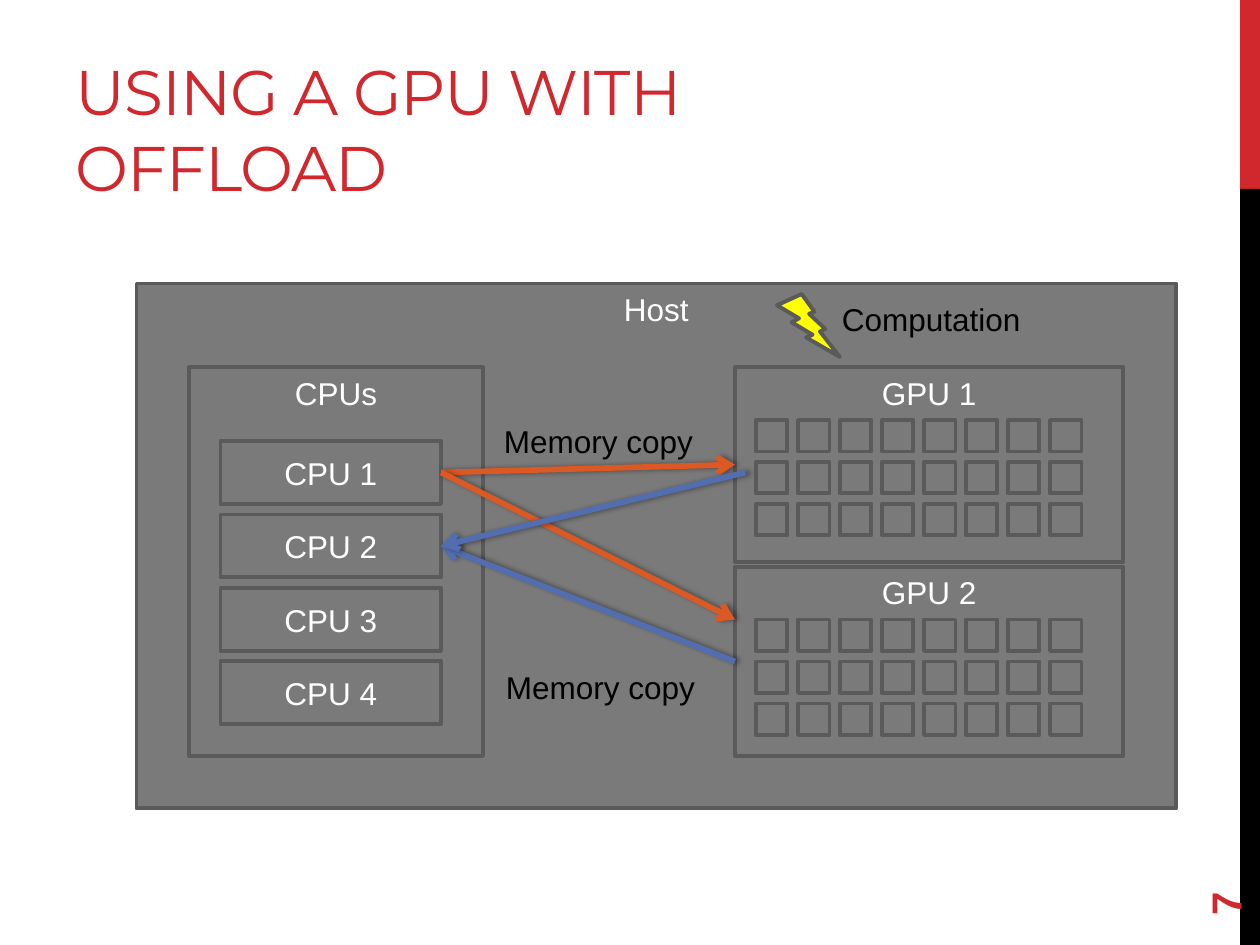
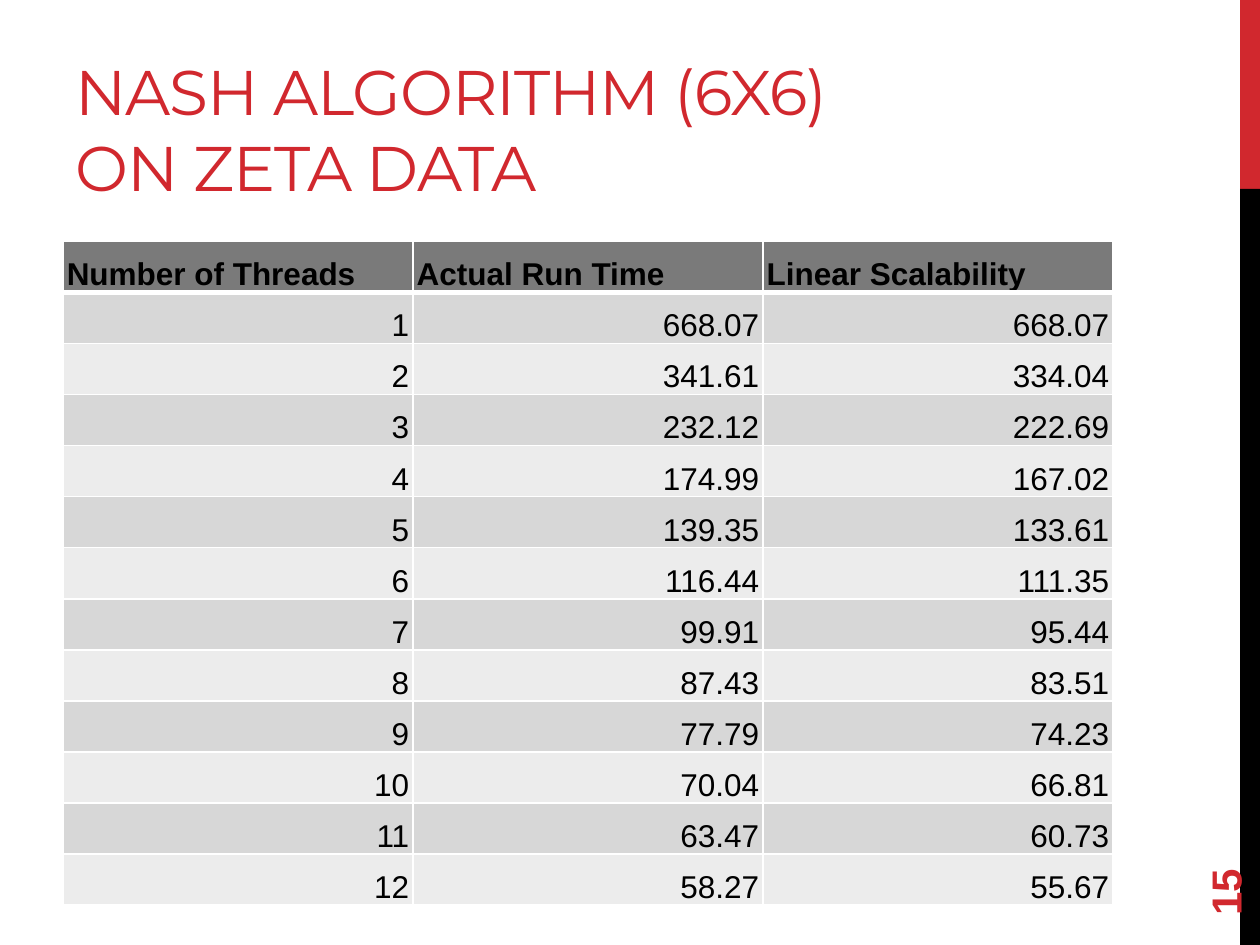
from dataclasses import dataclass

from lxml import etree
from pptx import Presentation
from pptx import util as u
from pptx.dml.color import RGBColor
from pptx.enum import shapes, text
from pptx.oxml import parse_xml
from pptx.oxml.ns import nsdecls, qn

PX = 7620  # EMU in one px, 120 px to the inch
RECT = shapes.MSO_SHAPE.RECTANGLE
LEFT, CENTER, RIGHT = text.PP_ALIGN.LEFT, text.PP_ALIGN.CENTER, text.PP_ALIGN.RIGHT
TOP, MIDDLE, BOTTOM = (text.MSO_ANCHOR.TOP, text.MSO_ANCHOR.MIDDLE,
                       text.MSO_ANCHOR.BOTTOM)
CONNECT_LEFT, CONNECT_RIGHT = 1, 3


@dataclass(frozen=True)
class Theme:
    red: str = "D1282E"
    black: str = "000000"
    white: str = "FFFFFF"
    gray: str = "7A7A7A"
    outline: str = "5A5A5A"
    band_dark: str = "D7D7D7"
    band_light: str = "ECECEC"
    send: str = "DC5924"
    receive: str = "526DB0"
    bolt: str = "FFFF00"
    title_font: str = "Montserrat"
    body_font: str = "Arial"
    title_size: int = 36
    number_size: int = 24
    body_size: int = 18
    outline_width: float = 2.25
    arrow_width: float = 3.25


def px(*lengths):
    return [u.Emu(length * PX) for length in lengths]


def rgb(color):
    return RGBColor.from_string(color)


class Builder:
    def __init__(self, theme):
        self.theme = theme
        self.deck = Presentation()
        self.deck.slide_width, self.deck.slide_height = px(1200, 900)
        self.page = None

    def new_page(self, title):
        first = self.page is None
        self.page = self.deck.slides.add_slide(self.deck.slide_layouts[5])
        if first:
            self.master_bands()
        box = self.page.shapes.title
        box.left, box.top, box.width, box.height = px(60, 20, 760, 180)
        theme = self.theme
        self.fill_frame(box.text_frame, title, theme.red, theme.title_size,
                        theme.title_font, LEFT, BOTTOM)
        box.text_frame.auto_size = text.MSO_AUTO_SIZE.NONE
        box.element.xpath(".//a:defRPr")[0].set("spc", "-60")

    def master_bands(self):
        """Put the bands of the right edge on the slide master."""
        tree = self.deck.slide_master.shapes.element
        for index, (top, height, color) in enumerate(
                ((0, 180, self.theme.red), (180, 720, self.theme.black))):
            band = self.shape((1181, top, 19, height), color, outlined=False)
            band.element.xpath("./p:nvSpPr/p:cNvPr")[0].set("id", str(101 + index))
            tree.append(band.element)

    def fill_frame(self, frame, words, color, size=None, font=None, align=LEFT,
                   anchor=TOP, bold=False):
        frame.word_wrap = True
        frame.vertical_anchor = anchor
        self.style(frame.paragraphs[0], words, color, size, font, align, bold)

    def style(self, para, words, color, size=None, font=None, align=LEFT, bold=False):
        para.text = words
        para.alignment = align
        para.font.name = font or self.theme.body_font
        para.font.size = u.Pt(size or self.theme.body_size)
        para.font.bold = bold
        para.font.color.rgb = rgb(color)

    def shape(self, area, fill, kind=RECT, words="", anchor=TOP, outlined=True):
        shape = self.page.shapes.add_shape(kind, *px(*area))
        shape.shadow.inherit = False
        shape.fill.solid()
        shape.fill.fore_color.rgb = rgb(fill)
        if outlined:
            shape.line.color.rgb = rgb(self.theme.outline)
            shape.line.width = u.Pt(self.theme.outline_width)
        else:
            shape.line.fill.background()
        if words:
            self.fill_frame(shape.text_frame, words, self.theme.white,
                            align=CENTER, anchor=anchor)
        return shape

    def label(self, area, words, align=LEFT, anchor=TOP, grow=True):
        box = self.page.shapes.add_textbox(*px(*area))
        self.fill_frame(box.text_frame, words, self.theme.black,
                        align=align, anchor=anchor)
        if grow:
            box.text_frame.auto_size = text.MSO_AUTO_SIZE.SHAPE_TO_FIT_TEXT

    def page_number(self, number):
        box = self.page.shapes.add_textbox(*px(1080, 773, 173, 48))
        box.rotation = 270
        self.fill_frame(box.text_frame, number, self.theme.red,
                        self.theme.number_size, anchor=MIDDLE, bold=True)

    def arrow(self, color, start, end):
        """Draw an arrow; each end is an (x, y) point or a (shape, side) pair."""
        points = [spot if isinstance(spot[0], int) else (0, 0)
                  for spot in (start, end)]
        line = self.page.shapes.add_connector(
            shapes.MSO_CONNECTOR.STRAIGHT, *px(*points[0], *points[1]))
        for spot, join in ((start, line.begin_connect), (end, line.end_connect)):
            if not isinstance(spot[0], int):
                join(*spot)
        line.line.color.rgb = rgb(color)
        line.line.width = u.Pt(self.theme.arrow_width)
        stroke = line.element.xpath("./p:spPr/a:ln")[0]
        etree.SubElement(stroke, qn("a:tailEnd"), type="arrow")
        line.element.spPr.append(parse_xml(
            f'<a:effectLst {nsdecls("a")}>'
            '<a:outerShdw blurRad="40000" dist="23000" dir="0" rotWithShape="0">'
            f'<a:srgbClr val="{self.theme.black}"><a:alpha val="40000"/></a:srgbClr>'
            '</a:outerShdw></a:effectLst>'))

    def table(self, area, rows):
        frame = self.page.shapes.add_table(len(rows), len(rows[0]), *px(*area))
        theme = self.theme
        for r, row in enumerate(rows):
            header = r == 0
            fill = theme.gray if header else (theme.band_light, theme.band_dark)[r % 2]
            row_cells = frame.element.xpath(".//a:tr")[r].xpath("./a:tc")
            for c, words in enumerate(row):
                cell = frame.table.cell(r, c)
                cell.margin_left = cell.margin_right = u.Inches(0.03)
                cell.margin_top = cell.margin_bottom = 0
                cell.vertical_anchor = BOTTOM
                self.style(cell.text_frame.paragraphs[0], words, theme.black,
                           align=LEFT if header else RIGHT, bold=header)
                self.borders(row_cells[c].get_or_add_tcPr(),
                             top=3 if r == 1 else 1, bottom=3 if header else 1)
                cell.fill.solid()
                cell.fill.fore_color.rgb = rgb(fill)

    def borders(self, properties, top, bottom):
        for side, width in (("L", 1), ("R", 1), ("T", top), ("B", bottom)):
            properties.append(parse_xml(
                f'<a:ln{side} {nsdecls("a")} w="{u.Pt(width)}"><a:solidFill>'
                f'<a:srgbClr val="{self.theme.white}"/></a:solidFill></a:ln{side}>'))


def offload_slide(build):
    theme = build.theme
    build.new_page("USING A GPU WITH OFFLOAD")
    build.page_number("7")

    # Host with its processors
    build.shape((130, 270, 990, 500), theme.gray, words="Host")
    build.shape((180, 350, 280, 370), theme.gray, words="CPUs")
    cpus = [build.shape((210, 420 + 70 * i, 210, 60), theme.gray,
                        words=f"CPU {i + 1}", anchor=MIDDLE) for i in range(4)]

    # GPUs, each with a grid of cores
    gpus = []
    for number, (top, height) in enumerate(((350, 185), (540, 180)), 1):
        gpus.append(build.shape((700, top, 370, height), theme.gray,
                                words=f"GPU {number}"))
        for row in range(3):
            for column in range(8):
                build.shape((720 + 40 * column, top + 50 + 40 * row, 30, 30),
                            theme.gray)

    # Copies to the GPUs, the computation, and copies back
    sender, receiver = (cpus[0], CONNECT_RIGHT), (cpus[1], CONNECT_RIGHT)
    build.arrow(theme.send, sender, (gpus[0], CONNECT_LEFT))
    build.arrow(theme.send, sender, (700, 590))
    build.label((450, 390, 240, 60), "Memory copy", CENTER, MIDDLE, grow=False)
    build.shape((740, 280, 60, 60), theme.bolt, shapes.MSO_SHAPE.LIGHTNING_BOLT)
    build.label((790, 280, 250, 48), "Computation")
    build.arrow(theme.receive, (gpus[1], CONNECT_LEFT), receiver)
    build.arrow(theme.receive, (710, 450), receiver)
    build.label((470, 630, 220, 48), "Memory copy")


def run_time_slide(build):
    build.new_page("NASH ALGORITHM (6X6) ON ZETA DATA")
    actual = ("668.07 341.61 232.12 174.99 139.35 116.44 "
              "99.91 87.43 77.79 70.04 63.47 58.27").split()
    linear = ("668.07 334.04 222.69 167.02 133.61 111.35 "
              "95.44 83.51 74.23 66.81 60.73 55.67").split()
    rows = [("Number of Threads", "Actual Run Time", "Linear Scalability")]
    rows += [(str(threads), *times)
             for threads, times in enumerate(zip(actual, linear), 1)]
    build.table((60, 230, 1000, 632), rows)
    build.page_number("15")


def main():
    build = Builder(Theme())
    offload_slide(build)
    run_time_slide(build)
    build.deck.save("out.pptx")


if __name__ == "__main__":
    main()
